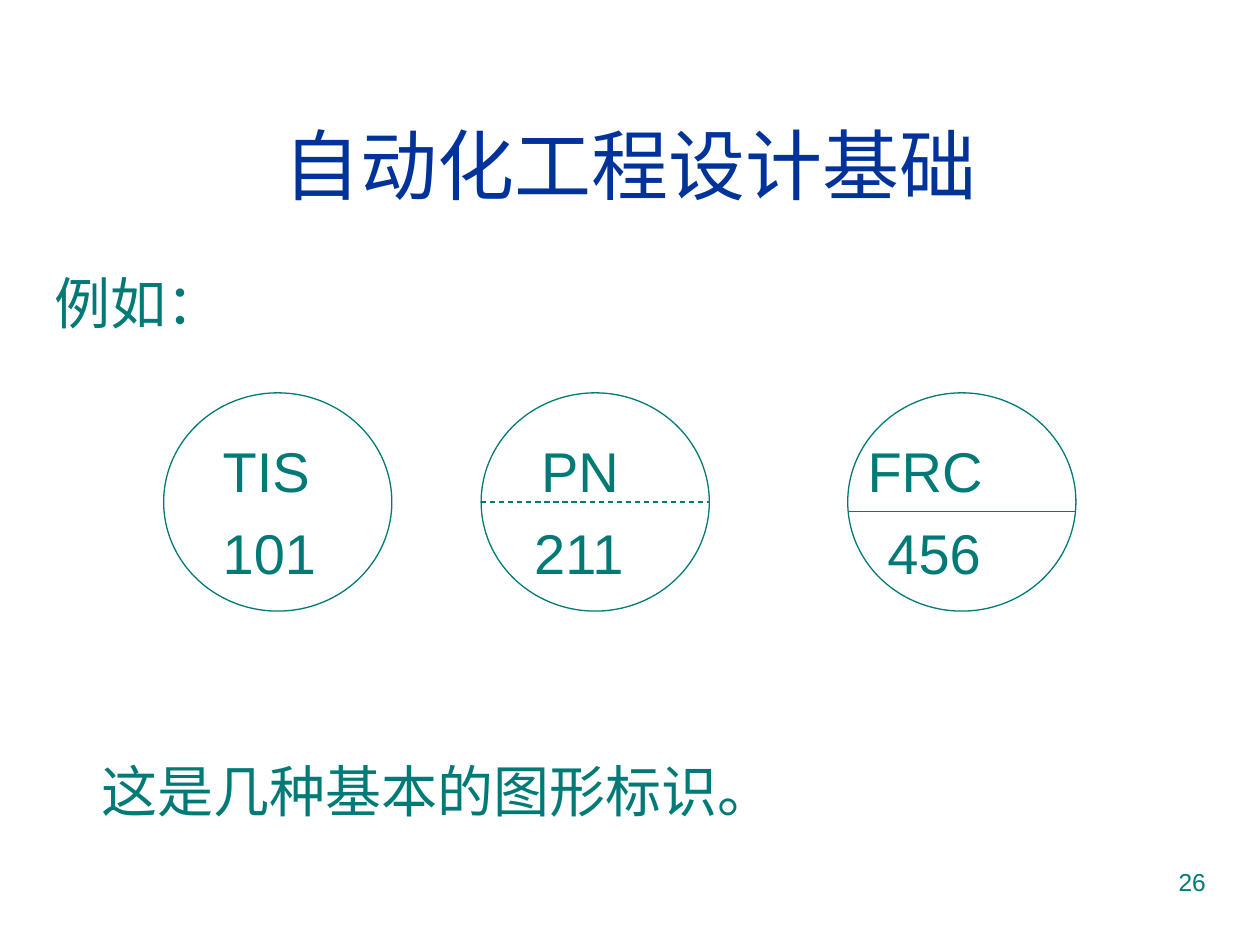
from dataclasses import dataclass

from lxml.etree import SubElement
from pptx import Presentation
from pptx.dml.color import RGBColor
from pptx.enum.dml import MSO_LINE
from pptx.enum.shapes import MSO_CONNECTOR, MSO_SHAPE
from pptx.enum.text import MSO_ANCHOR, MSO_AUTO_SIZE, PP_ALIGN
from pptx.oxml.ns import qn
from pptx.util import Cm, Pt


@dataclass(frozen=True)
class Theme:
    font: str = "Arial"
    title_color: RGBColor = RGBColor(0x00, 0x33, 0x99)
    main_color: RGBColor = RGBColor(0x00, 0x7A, 0x77)
    title_size: Pt = Pt(44)
    body_size: Pt = Pt(32)
    number_size: Pt = Pt(14)
    line_width: Pt = Pt(0.75)


@dataclass(frozen=True)
class Box:
    left: int
    top: int
    width: int
    height: int


THEME = Theme()


def apply(target, **values):
    for attribute, value in values.items():
        setattr(target, attribute, value)


def place(shape, box):
    apply(shape, left=box.left, top=box.top, width=box.width, height=box.height)


def write(paragraph, text, size, color):
    paragraph.add_run().text = text
    apply(paragraph.runs[0].font, name=THEME.font, size=size)
    paragraph.runs[0].font.color.rgb = color


def write_rows(frame, rows):
    """Fill a frame with rows of (text, points before, indent in cm)."""
    for index, (text, space, indent) in enumerate(rows):
        paragraph = frame.add_paragraph() if index else frame.paragraphs[0]
        properties = paragraph._p.get_or_add_pPr()
        properties.set("marL", str(Cm(indent)))
        properties.set("indent", "0")
        SubElement(properties, qn("a:buNone"))
        apply(paragraph, alignment=PP_ALIGN.LEFT, space_before=Pt(space))
        write(paragraph, text, THEME.body_size, THEME.main_color)


def add_title(slide, box):
    title = slide.shapes.title
    place(title, box)
    apply(title.text_frame, vertical_anchor=MSO_ANCHOR.MIDDLE,
          auto_size=MSO_AUTO_SIZE.NONE)
    heading = title.text_frame.paragraphs[0]
    heading.alignment = PP_ALIGN.CENTER
    write(heading, "自动化工程设计基础", THEME.title_size, THEME.title_color)


def add_body(slide, box):
    body = slide.placeholders[1]
    place(body, box)
    apply(body.text_frame, vertical_anchor=MSO_ANCHOR.TOP,
          auto_size=MSO_AUTO_SIZE.NONE)
    write_rows(body.text_frame, [
        ("例如：", 0, 0),
        ("这是几种基本的图形标识。", 240.5, 0.95),
    ])


def format_line(line, dash=None):
    line.color.rgb = THEME.main_color
    apply(line, width=THEME.line_width, dash_style=dash)


def add_circle(slide, box):
    circle = slide.shapes.add_shape(
        MSO_SHAPE.OVAL, box.left, box.top, box.width, box.height)
    circle.shadow.inherit = False
    circle.fill.background()
    format_line(circle.line)


def add_divider(slide, box, depth, dash):
    y = box.top + depth
    divider = slide.shapes.add_connector(
        MSO_CONNECTOR.STRAIGHT, box.left, y, box.left + box.width, y)
    format_line(divider.line, dash)
    SubElement(divider._element.spPr, qn("a:effectLst"))


def add_label(slide, box, code, code_indent, loop, loop_indent):
    """Write the function code above the loop number."""
    drop = Cm(0.89)
    label = slide.shapes.add_textbox(
        box.left, box.top + drop, box.width, box.height - drop)
    apply(label.text_frame, word_wrap=True, margin_left=0, margin_right=0,
          margin_top=0, margin_bottom=0)
    write_rows(label.text_frame,
               [(code, 0, code_indent), (loop, 8, loop_indent)])


def add_instruments(slide, box):
    diameter = Cm(4.6)
    # left offset, label, divider depth, divider dash
    instruments = [
        (Cm(0), ("TIS", 1.19, "101", 1.19), None, None),
        (Cm(6.4), ("PN", 1.21, "211", 1.07), box.height // 2, MSO_LINE.DASH),
        (box.width - diameter, ("FRC", 0.4, "456", 0.8), Cm(2.39), None),
    ]
    for offset, label, depth, dash in instruments:
        symbol = Box(box.left + offset, box.top, diameter, box.height)
        add_circle(slide, symbol)
        if depth is not None:
            add_divider(slide, symbol, depth, dash)
        add_label(slide, symbol, *label)


def add_page_number(slide, box):
    number = slide.shapes.add_textbox(box.left, box.top, box.width, box.height)
    number.text_frame.word_wrap = True
    paragraph = number.text_frame.paragraphs[0]
    paragraph.alignment = PP_ALIGN.RIGHT
    write(paragraph, "26", THEME.number_size, THEME.main_color)


def main():
    deck = Presentation()
    apply(deck, slide_width=Cm(25.4), slide_height=Cm(19.05))
    slide = deck.slides.add_slide(deck.slide_layouts[1])
    margin, content_width = Cm(0.84), Cm(23.72)
    add_title(slide, Box(margin, Cm(1.7), content_width, Cm(3.18)))
    add_body(slide, Box(margin, Cm(5.28), content_width, Cm(11.66)))
    add_instruments(slide, Box(Cm(3.3), Cm(7.92), Cm(18.39), Cm(4.4)))
    add_page_number(slide, Box(Cm(18.21), Cm(17.35), Cm(6.35), Cm(1.32)))
    deck.save("out.pptx")


if __name__ == "__main__":
    main()
